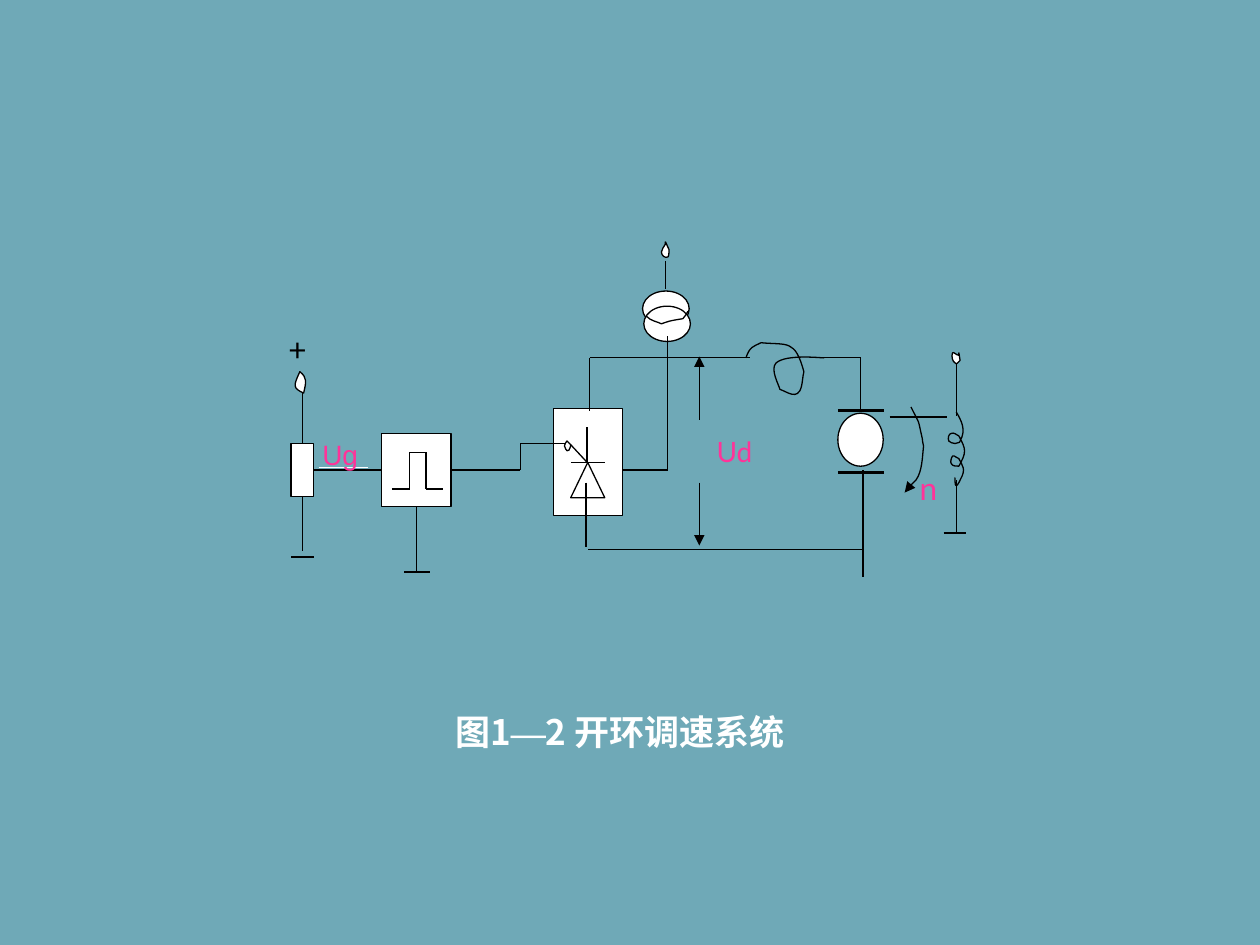
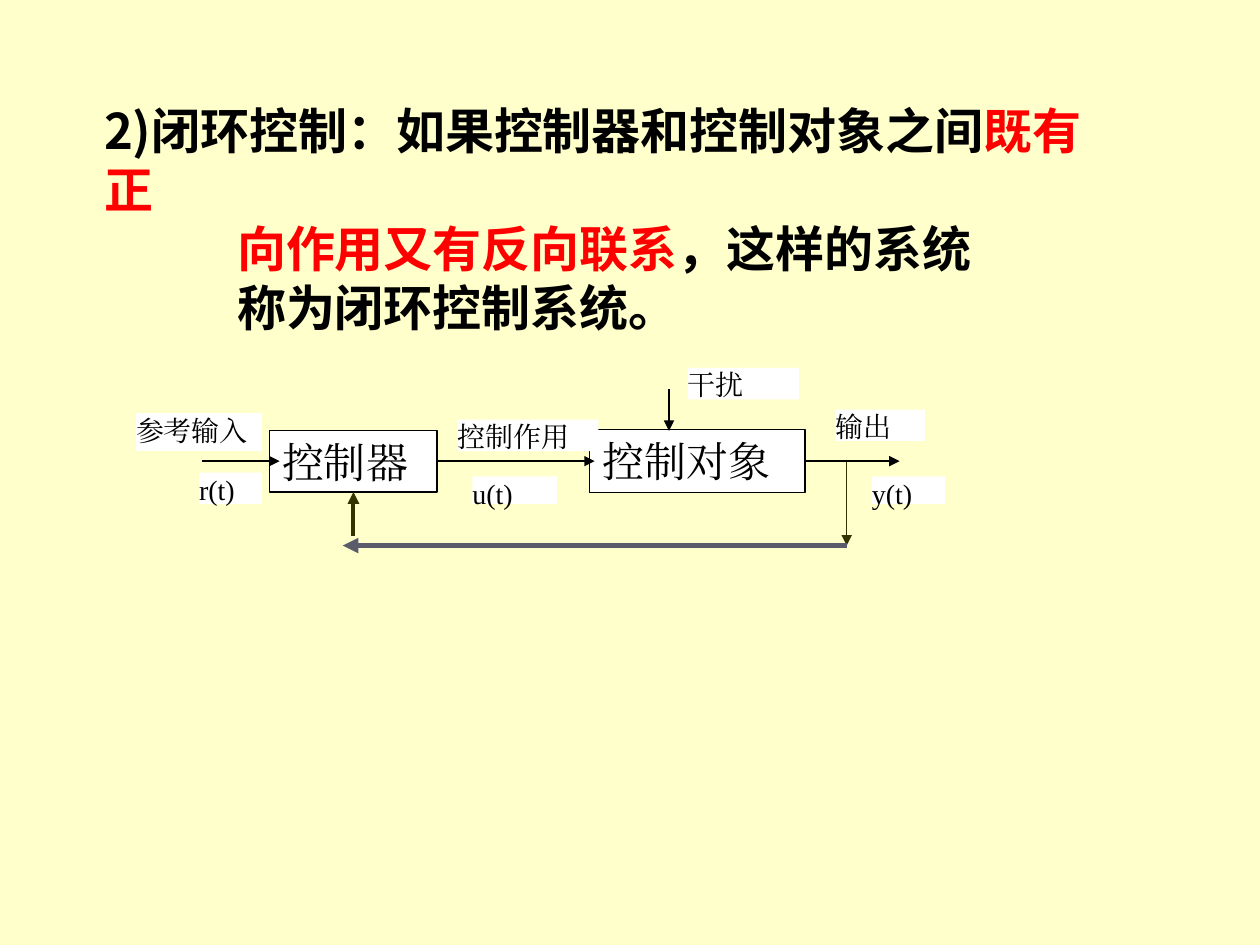
import pptx
import pptx.dml.color
import pptx.enum.shapes
import pptx.enum.text
import pptx.oxml.ns
import pptx.util
from lxml import etree

KIND = pptx.enum.shapes.MSO_SHAPE
ALIGN = pptx.enum.text.PP_ALIGN
ANCHOR = pptx.enum.text.MSO_ANCHOR
BLACK, WHITE, RED, PINK = "000000", "FFFFFF", "FF0000", "FF3399"
TEAL, CREAM, OLIVE, SLATE = "6FA9B7", "FFFFCC", "333300", "5A5C6C"
HAN, ROMAN = "Noto Sans CJK SC", "Times New Roman"
STEP = pptx.util.Cm(0.0254)  # one step of the drawing grid


# ---- Shared helpers ----
def tint(code):
    return pptx.dml.color.RGBColor.from_string(code)


def tag(name):
    return pptx.oxml.ns.qn("a:" + name)


def spot(box, x, y):
    """Turn grid steps inside a box into a place on the slide."""
    return round(box[0] + x * STEP), round(box[1] + y * STEP)


def stroke(shape, color=BLACK, width=0.75, tip=False):
    shape.line.color.rgb = tint(color)
    shape.line.width = pptx.util.Pt(width)
    if tip:
        ln = shape._element.spPr.find(tag("ln"))
        etree.SubElement(ln, tag("tailEnd"), type="triangle")


def wire(slide, box, *points, start=None, end=None, **look):
    """Draw a chain of lines; start and end are (shape, side) joints."""
    pairs = list(zip(points, points[1:]))
    for i, (a, b) in enumerate(pairs):
        line = slide.shapes.add_connector(
            pptx.enum.shapes.MSO_CONNECTOR.STRAIGHT, *spot(box, *a), *spot(box, *b))
        if start and i == 0:
            line.begin_connect(*start)
        if end and i == len(pairs) - 1:
            line.end_connect(*end)
        stroke(line, **look)
        etree.SubElement(line._element.spPr, tag("effectLst"))


def block(slide, box, kind, x, y, w, h, edge=True):
    shape = slide.shapes.add_shape(kind, *spot(box, x, y), round(w * STEP), round(h * STEP))
    shape.shadow.inherit = False
    shape.fill.solid()
    shape.fill.fore_color.rgb = tint(WHITE)
    if edge:
        stroke(shape)
    else:
        shape.line.fill.background()
    return shape


def curve(slide, box, first, *parts, loop=False, tip=False):
    """Draw a run of cubic curves, each given as six numbers."""
    dots = [spot(box, *part[i:i + 2]) for part in parts for i in (0, 2, 4)]
    pen = slide.shapes.build_freeform(*spot(box, *first))
    pen.add_line_segments(dots, close=loop)
    shape = pen.convert_to_shape()
    # Every three line points become one curve
    legs = list(shape._element.iter(tag("lnTo")))
    for trio in zip(legs[::3], legs[1::3], legs[2::3]):
        trio[0].tag = tag("cubicBezTo")
        for leg in trio[1:]:
            trio[0].append(leg[0])
            leg.getparent().remove(leg)
    shape.shadow.inherit = False
    if loop:
        shape.fill.solid()
        shape.fill.fore_color.rgb = tint(WHITE)
    else:
        shape.fill.background()
    stroke(shape, tip=tip)


def write(para, text, size, font, color, bold=False):
    run = para.add_run()
    run.text = text
    run.font.size = pptx.util.Pt(size)
    run.font.name = font
    run.font.bold = bold
    run.font.color.rgb = tint(color)
    etree.SubElement(run._r.get_or_add_rPr(), tag("ea"), typeface=font)


def pad(frame, side, top, base):
    frame.margin_left = frame.margin_right = pptx.util.Cm(side)
    frame.margin_top, frame.margin_bottom = pptx.util.Cm(top), pptx.util.Cm(base)


def page(deck, color):
    slide = deck.slides.add_slide(deck.slide_layouts[5])
    slide.background.fill.solid()
    slide.background.fill.fore_color.rgb = tint(color)
    return slide


def title(slide, box, lines, size, align, anchor, base=0.13, pitch=None, inset=0):
    """Fill the title; each line is a list of (text, font, color) runs."""
    shape = slide.shapes.title
    shape.left, shape.top, shape.width, shape.height = map(pptx.util.Cm, box)
    frame = shape.text_frame
    frame.auto_size = pptx.enum.text.MSO_AUTO_SIZE.NONE
    frame.word_wrap, frame.vertical_anchor = True, anchor
    pad(frame, 0.25, 0.13, base)
    for i, runs in enumerate(lines):
        para = frame.add_paragraph() if i else frame.paragraphs[0]
        para.alignment = align
        if pitch:
            para.line_spacing = pptx.util.Pt(pitch)
        if i and inset:
            props = para._p.get_or_add_pPr()
            props.set("marL", str(pptx.util.Cm(inset)))
            props.set("indent", "0")
        for text, font, color in runs:
            write(para, text, size, font, color, bold=True)


# ---- Open loop circuit ----
def label(slide, box, text, x, y, w, h, size, font="Lato", color=PINK):
    shape = slide.shapes.add_textbox(*spot(box, x, y), w * STEP, h * STEP)
    frame = shape.text_frame
    frame.word_wrap = False
    pad(frame, 0.25, 0.13, 0.13)
    write(frame.paragraphs[0], text, size, font, color)


def supply(slide, box):
    """Input divider and pulse unit."""
    pot = block(slide, box, KIND.RECTANGLE, 31, 202, 18, 42)
    pulse = block(slide, box, KIND.RECTANGLE, 103, 194, 55, 58)
    wire(slide, box, (111, 238), (125, 238), (125, 209), (138, 209), (138, 238), (152, 238))
    wire(slide, box, (40, 159), (40, 202), end=(pot, 0))
    wire(slide, box, (40, 244), (40, 287), start=(pot, 2))
    wire(slide, box, (31, 292), (49, 292))
    wire(slide, box, (49, 223), (103, 223), start=(pot, 3), end=(pulse, 1))
    wire(slide, box, (158, 223), (213, 223), (213, 202), start=(pulse, 3))
    wire(slide, box, (130.5, 252), (130.5, 304), start=(pulse, 2))
    wire(slide, box, (141, 304), (121, 304))
    curve(slide, box, (38, 145), (33, 156, 32, 158, 41, 162),
          (43, 153, 44, 150, 38, 145), loop=True)
    wire(slide, box, (92, 221), (53, 221), color=WHITE)
    label(slide, box, "Ug", 46, 192, 50, 37, 16, "Arial")
    label(slide, box, "+", 19, 107, 34, 40, 18, color=BLACK)


def bridge(slide, box):
    """Thyristor unit with its transformer."""
    block(slide, box, KIND.RECTANGLE, 239, 174, 55, 85)
    block(slide, box, KIND.ISOSCELES_TRIANGLE, 253, 217, 27, 28)
    wire(slide, box, (213, 202), (249, 202))
    wire(slide, box, (253, 217), (280, 217))
    wire(slide, box, (253, 203), (266, 217))
    wire(slide, box, (266, 189), (266, 217))
    wire(slide, box, (265, 233), (265, 284))
    curve(slide, box, (250, 200), (249, 201, 248, 203, 248, 204),
          (251, 213, 253, 204, 253, 203), (252, 202, 250, 200, 250, 200), loop=True)
    for x, y in ((310, 81), (311, 93)):
        block(slide, box, KIND.OVAL, x, y, 37, 28)
    curve(slide, box, (313, 101), (317, 105, 321, 105, 325, 107),
          (327, 106, 329, 106, 331, 105), (335, 104, 342, 103, 342, 103),
          (345, 99, 344, 101, 346, 97))
    wire(slide, box, (330, 117), (330, 223), (294, 223))
    wire(slide, box, (328, 57), (328, 79))
    curve(slide, box, (328, 44), (327, 46, 325, 48, 325, 50), (325, 53, 328, 55, 330, 54),
          (331, 54, 331, 50, 331, 48), (328, 42, 328, 40, 328, 44), loop=True)


def motor(slide, box):
    """Main loop with choke, motor and field coil."""
    wire(slide, box, (268, 176), (268, 134), (395, 134))
    curve(slide, box, (392, 134), (395, 125, 398, 125, 404, 122),
          (425, 124, 431, 119, 438, 145), (437, 149, 437, 153, 436, 157),
          (433, 168, 425, 161, 419, 159), (418, 155, 411, 143, 416, 138),
          (424, 131, 451, 134, 454, 134))
    wire(slide, box, (447, 134), (483, 134), (483, 176))
    block(slide, box, KIND.OVAL, 465, 178, 36, 42)
    for y in (176, 225):
        wire(slide, box, (465, y), (502, y), width=1.5)
    wire(slide, box, (485, 223), (485, 308))
    wire(slide, box, (267, 286), (485, 286))
    for a, b in ((183, 133), (233, 283)):
        wire(slide, box, (355, a), (355, b), tip=True)
    # Speed arrow
    wire(slide, box, (506, 181), (552, 181))
    curve(slide, box, (523, 173), (531, 189, 528, 181, 532, 198),
          (532, 200, 533, 204, 533, 204), (532, 213, 532, 224, 527, 231),
          (526, 233, 524, 233, 523, 235), (521, 237, 518, 241, 518, 241), tip=True)
    # Field coil
    wire(slide, box, (559, 138), (559, 180))
    curve(slide, box, (559, 177), (563, 184, 567, 191, 562, 200),
          (562, 202, 559, 201, 558, 202), (556, 201, 554, 202, 553, 200),
          (552, 198, 553, 194, 555, 194), (557, 193, 559, 195, 561, 196),
          (567, 207, 567, 209, 561, 220), (559, 220, 556, 220, 555, 218),
          (554, 217, 555, 213, 556, 212), (558, 211, 559, 214, 561, 214),
          (564, 220, 567, 222, 562, 231), (557, 242, 558, 229, 558, 229))
    wire(slide, box, (559, 231), (559, 274))
    wire(slide, box, (549, 273), (567, 273))
    curve(slide, box, (561, 132), (559, 132, 557, 129, 556, 130),
          (555, 133, 556, 137, 558, 138), (559, 140, 561, 137, 562, 136),
          (561, 130, 561, 128, 561, 132), loop=True)
    label(slide, box, "Ud", 359, 190, 50, 37, 16)
    label(slide, box, "n", 520, 217, 35, 40, 18)


# ---- Closed loop diagram ----
def words(shape, text, size, side=0, top=0, anchor=ANCHOR.TOP):
    frame = shape.text_frame
    frame.word_wrap, frame.vertical_anchor = True, anchor
    pad(frame, side, top, top)
    para = frame.paragraphs[0]
    para.alignment = ALIGN.JUSTIFY
    write(para, text, size, ROMAN, BLACK)


def loop(slide, box):
    control = block(slide, box, KIND.RECTANGLE, 114, 91.5, 133, 49)
    plant = block(slide, box, KIND.RECTANGLE, 368, 91, 171, 50)
    for shape, text in ((control, "控制器"), (plant, "控制对象")):
        words(shape, text, 24, 0.25, 0.13, ANCHOR.MIDDLE)
    # Forward path
    wire(slide, box, (60, 116), (122, 116), tip=True)
    wire(slide, box, (247, 116), (372, 116), start=(control, 3), tip=True)
    wire(slide, box, (539, 116), (614, 116), start=(plant, 3), tip=True)
    wire(slide, box, (431, 59), (431, 92), tip=True)
    # Feedback path
    wire(slide, box, (572, 117), (572, 183), color=OLIVE, tip=True)
    wire(slide, box, (572, 183), (172, 183), color=SLATE, width=3, tip=True)
    wire(slide, box, (180.5, 175), (180.5, 141), end=(control, 2),
         color=OLIVE, width=2.25, tip=True)
    # Signal names
    for text, x, y, w, h in (
            ("干扰", 446, 42, 88, 25), ("r(t)", 58, 125, 50, 25),
            ("参考输入", 8, 78, 100, 30), ("控制作用", 263, 83, 112, 25),
            ("u(t)", 275, 128, 67, 22), ("输出", 563, 75, 71, 25),
            ("y(t)", 592, 128, 58, 22)):
        words(block(slide, box, KIND.RECTANGLE, x, y, w, h, edge=False), text, 16)


def main():
    deck = pptx.Presentation()
    deck.slide_width, deck.slide_height = pptx.util.Cm(25.4), pptx.util.Cm(19.05)

    slide = page(deck, TEAL)
    title(slide, (-0.2, 12.4, 25.4, 3.73),
          [[("图1", HAN, WHITE), ("—", ROMAN, WHITE), ("2 开环调速系统", HAN, WHITE)]],
          20, ALIGN.CENTER, ANCHOR.BOTTOM, base=0.96)
    box = pptx.util.Cm(5.08), pptx.util.Cm(3.81)
    for draw in (supply, bridge, motor):
        draw(slide, box)

    slide = page(deck, CREAM)
    title(slide, (1.85, 1.9, 21.1, 5),
          [[("2)闭环控制：如果控制器和控制对象之间", HAN, BLACK), ("既有正", HAN, RED)],
           [("向作用又有反向联系", HAN, RED), ("，这样的系统", HAN, BLACK)],
           [("称为闭环控制系统。", HAN, BLACK)]],
          28, ALIGN.LEFT, ANCHOR.TOP, pitch=33.7, inset=2.68)
    loop(slide, (pptx.util.Cm(2.54), pptx.util.Cm(6.35)))

    deck.save("out.pptx")


if __name__ == "__main__":
    main()
